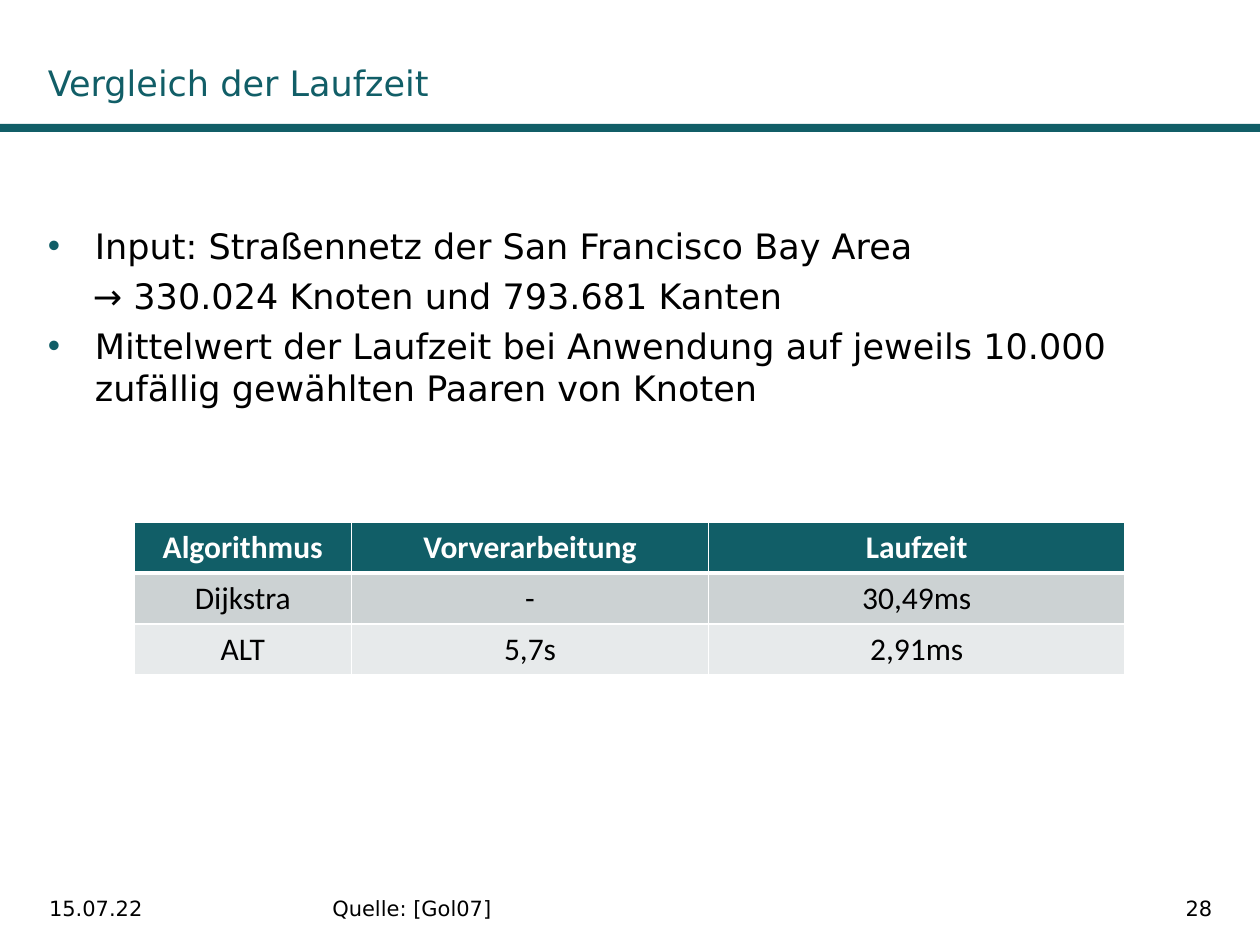
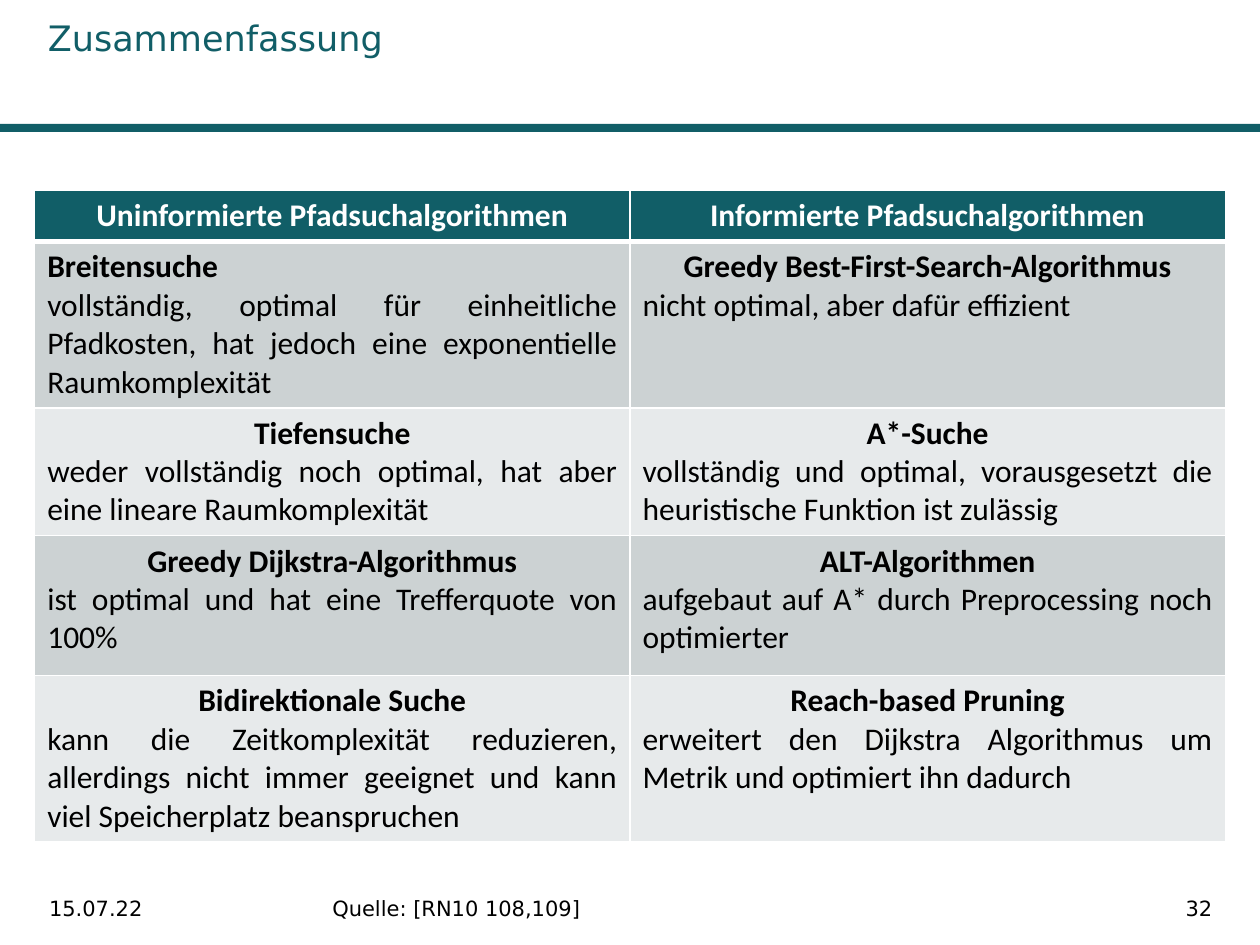
from lxml.etree import SubElement as Sub
from pptx import Presentation
from pptx.dml.color import RGBColor as Rgb
from pptx.enum.shapes import MSO_SHAPE as Shape
from pptx.enum.text import MSO_ANCHOR as Anchor, MSO_AUTO_SIZE as Auto, PP_ALIGN as Align
from pptx.oxml.ns import qn
from pptx.util import Cm, Pt

HUES = {"teal": "115E67", "dark": "CCD2D3", "light": "E7EAEB",
        "white": "FFFFFF", "black": "000000"}
SANS, CALI = "DejaVu Sans", "Calibri"
DATE = "15.07.22"


def style(para, size, hue="black", face=SANS, bold=False, align=Align.LEFT):
    para.alignment = align
    for run in para.runs:
        font = run.font
        font.name, font.size, font.bold = face, Pt(size), bold
        font.color.rgb = Rgb.from_string(HUES[hue])


def place(shape, box):
    shape.left, shape.top, shape.width, shape.height = map(Cm, box)


# Title, placed at the top or the bottom of its box
def add_title(slide, text, anchor):
    title = slide.shapes.title
    place(title, (0.71, 0.2, 15.19, 2.01))
    frame = title.text_frame
    frame.text = text
    frame.auto_size, frame.vertical_anchor = Auto.NONE, anchor
    style(frame.paragraphs[0], 20, "teal")


# Band under the title
def add_band(slide, box):
    band = slide.shapes.add_shape(Shape.RECTANGLE, *map(Cm, box))
    band.shadow.inherit = False
    band.fill.solid()
    band.fill.fore_color.rgb = Rgb.from_string(HUES["teal"])
    band.line.fill.background()


# Footer: date, source and page number
def add_foot(slide, source, page, top=17.93):
    parts = [(DATE, 0.74, 5.16, Align.LEFT),
             (source, 6.45, 13.74, Align.LEFT),
             (str(page), 20.7, 3.99, Align.RIGHT)]
    for text, left, width, align in parts:
        box = slide.shapes.add_textbox(Cm(left), Cm(top), Cm(width), Cm(0.79))
        frame = box.text_frame
        frame.word_wrap = True
        frame.text = text
        style(frame.paragraphs[0], 12, align=align)


# List: each item is its text and whether it has a bullet
def add_list(slide, items, box):
    body = slide.placeholders[1]
    place(body, box)
    frame = body.text_frame
    frame.auto_size, frame.vertical_anchor = Auto.NONE, Anchor.TOP
    frame.text = "\n".join(text for text, _ in items)
    for para, (_, dot) in zip(frame.paragraphs, items):
        para.space_before = Pt(4.6)
        style(para, 20)
        props = para._p.get_or_add_pPr()
        props.set("marL", str(Cm(0.95 if dot else 0.91)))
        props.set("indent", str(Cm(-0.95 if dot else 0)))
        if dot:
            Sub(Sub(props, qn("a:buClr")), qn("a:srgbClr"), val=HUES["teal"])
            Sub(props, qn("a:buFont"), typeface="Arial")
            Sub(props, qn("a:buChar"), char="•")
        else:
            Sub(props, qn("a:buNone"))


# Cell fill with white borders
def paint(cell, hue, under):
    props = cell._tc.get_or_add_tcPr()
    for side in "LRTB":
        width = under if side == "B" else 1
        line = Sub(props, qn(f"a:ln{side}"), w=str(Pt(width)))
        Sub(Sub(line, qn("a:solidFill")), qn("a:srgbClr"), val=HUES["white"])
    cell.fill.solid()
    cell.fill.fore_color.rgb = Rgb.from_string(HUES[hue])


# Table: a header row, then rows in two greys
def add_grid(slide, spot, cols, highs, rows, fill):
    size = (sum(cols), sum(highs))
    grid = slide.shapes.add_table(len(rows), len(cols), *map(Cm, spot + size)).table
    grid.horz_banding = False
    for col, width in zip(grid.columns, cols):
        col.width = Cm(width)
    for r, (row, high) in enumerate(zip(rows, highs)):
        grid.rows[r].height = Cm(high)
        for c, item in enumerate(row):
            cell = grid.cell(r, c)
            if r == 0:
                paint(cell, "teal", 3)
                cell.text_frame.text = item
                style(cell.text_frame.paragraphs[0], 18, "white", CALI, True, Align.CENTER)
            else:
                paint(cell, "dark" if r % 2 else "light", 1)
                fill(cell.text_frame, item)


def fill_value(frame, text):
    frame.text = text
    style(frame.paragraphs[0], 18, face=CALI, align=Align.CENTER)


def fill_method(frame, item):
    name, note = item
    frame.text = f"{name}\n{note}"
    head, body = frame.paragraphs
    align = Align.LEFT if name == "Breitensuche" else Align.CENTER
    style(head, 18, face=CALI, bold=True, align=align)
    style(body, 18, face=CALI, align=Align.JUSTIFY)


def add_slide(deck, layout, title, anchor, source, page):
    slide = deck.slides.add_slide(deck.slide_layouts[layout])
    add_band(slide, (0, 2.5, 25.4, 0.16))
    add_title(slide, title, anchor)
    add_foot(slide, source, page)
    return slide


def add_times(deck):
    slide = add_slide(deck, 1, "Vergleich der Laufzeit", Anchor.BOTTOM, "Quelle: [Gol07]", 28)
    add_list(slide, [
        ("Input: Straßennetz der San Francisco Bay Area", True),
        ("→ 330.024 Knoten und 793.681 Kanten", False),
        ("Mittelwert der Laufzeit bei Anwendung auf jeweils 10.000 "
         "zufällig gewählten Paaren von Knoten", True),
    ], (0.71, 4.4, 24, 5))
    rows = [("Algorithmus", "Vorverarbeitung", "Laufzeit"),
            ("Dijkstra", "-", "30,49ms"),
            ("ALT", "5,7s", "2,91ms")]
    add_grid(slide, (2.7, 10.52), (4.39, 7.19, 8.4), [1.03] * 3, rows, fill_value)


def add_recap(deck):
    slide = add_slide(deck, 5, "Zusammenfassung", Anchor.TOP, "Quelle: [RN10 108,109]", 32)
    rows = [
        ("Uninformierte Pfadsuchalgorithmen", "Informierte Pfadsuchalgorithmen"),
        (("Breitensuche", "vollständig, optimal für einheitliche Pfadkosten, "
          "hat jedoch eine exponentielle Raumkomplexität"),
         ("Greedy Best-First-Search-Algorithmus", "nicht optimal, aber dafür effizient")),
        (("Tiefensuche", "weder vollständig noch optimal, hat aber "
          "eine lineare Raumkomplexität"),
         ("A*-Suche", "vollständig und optimal, vorausgesetzt die "
          "heuristische Funktion ist zulässig")),
        (("Greedy Dijkstra-Algorithmus", "ist optimal und hat eine Trefferquote von 100%"),
         ("ALT-Algorithmen", "aufgebaut auf A* durch Preprocessing noch optimierter")),
        (("Bidirektionale Suche", "kann die Zeitkomplexität reduzieren, allerdings "
          "nicht immer geeignet und kann viel Speicherplatz beanspruchen"),
         ("Reach-based Pruning", "erweitert den Dijkstra Algorithmus um "
          "Metrik und optimiert ihn dadurch")),
    ]
    add_grid(slide, (0.7, 3.84), (12, 12), (1.03, 3.35, 2.58, 2.82, 3.35), rows, fill_method)


def main():
    deck = Presentation()
    deck.slide_width, deck.slide_height = Cm(25.4), Cm(19.05)
    add_times(deck)
    add_recap(deck)
    deck.save("out.pptx")


if __name__ == "__main__":
    main()
